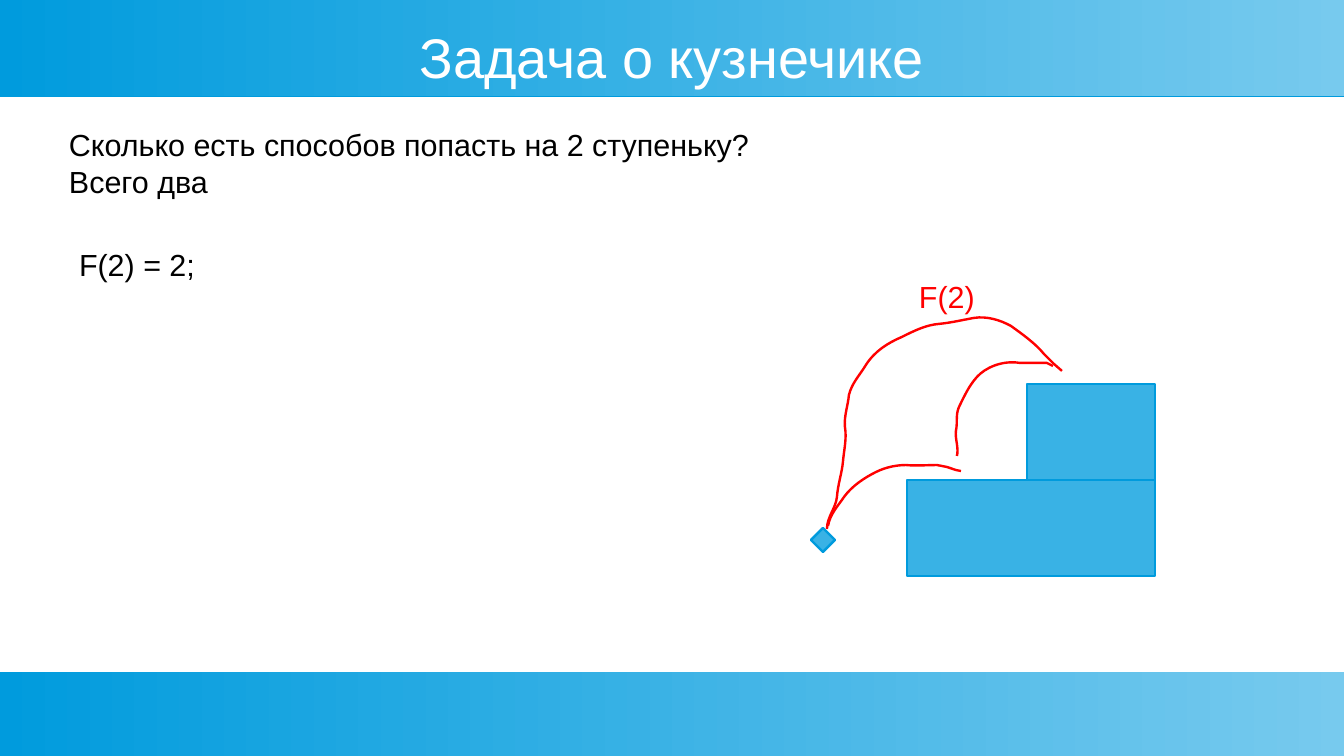
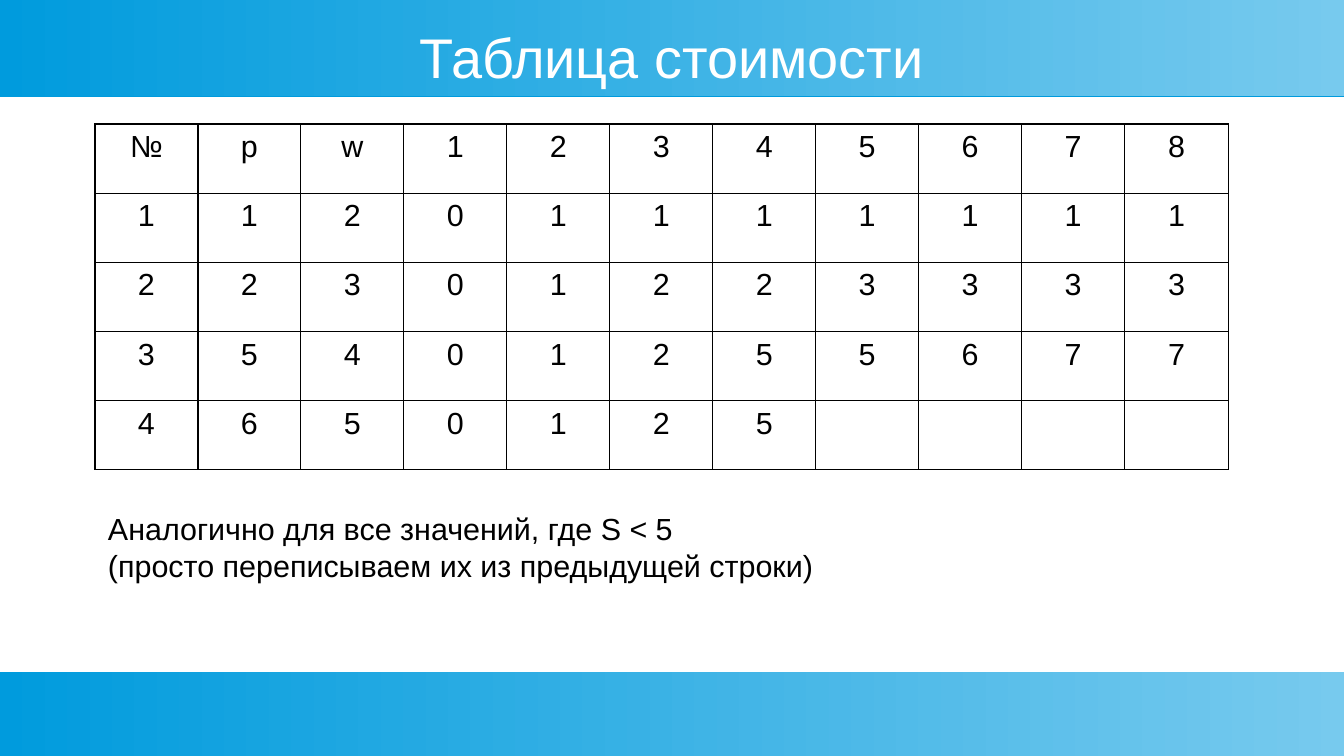
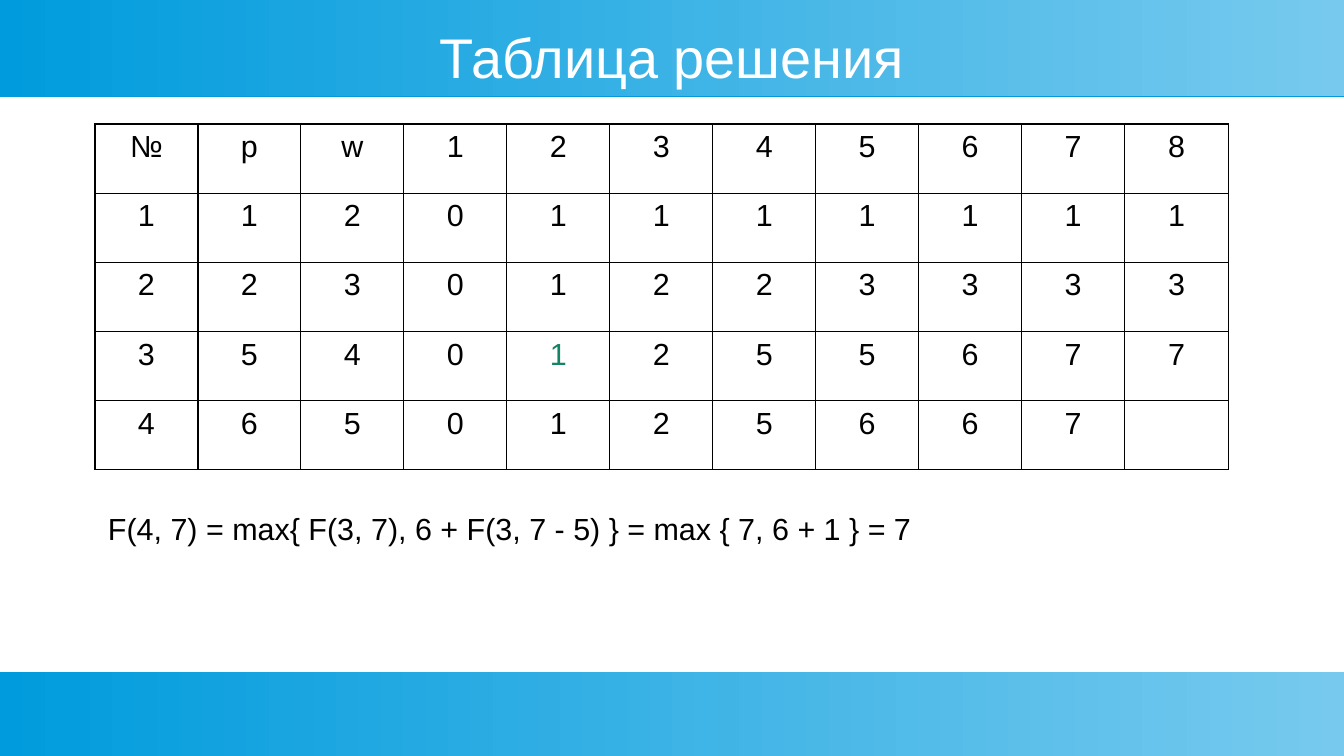
from dataclasses import dataclass

from lxml import etree
from pptx import Presentation, util as u
from pptx.dml.color import RGBColor
from pptx.enum import shapes as kinds, text as t
from pptx.oxml.ns import qn

EMU = 7500  # one px
WIDE, HIGH = 1344, 756


@dataclass(frozen=True)
class Theme:
    font: str = "Arial"
    head: int = 33
    body: int = 18
    line: float = 1.42
    rule: float = 0.75
    deep: str = "009BDD"
    mid: str = "39B2E5"
    pale: str = "77CAEE"
    ink: str = "000000"
    white: str = "FFFFFF"
    red: str = "FF0000"
    green: str = "158466"


THEME = Theme()

COSTS = ["№ p w 1 2 3 4 5 6 7 8",
         "1 1 2 0 1 1 1 1 1 1 1",
         "2 2 3 0 1 2 2 3 3 3 3",
         "3 5 4 0 1 2 5 5 6 7 7"]

# Each jump: start, Bezier bends (two handles and an end), then straight ends.
LEAP = ((16, 257),
        [(16, 245), (25, 236), (26, 225),
         (27, 212), (31, 201), (32, 190),
         (33, 178), (36, 167), (34, 155),
         (33, 144), (37, 134), (38, 123),
         (41, 111), (49, 103), (55, 93),
         (64, 79), (77, 71), (91, 65),
         (103, 59), (115, 53), (128, 52),
         (139, 51), (152, 48), (163, 46),
         (176, 44), (189, 48), (200, 54),
         (211, 62), (224, 71), (233, 82)],
        [(243, 92), (251, 99)])
FIRST = ((17, 254),
         [(19, 242), (27, 234), (33, 225),
          (41, 214), (53, 206), (65, 200),
          (75, 195), (86, 193), (95, 193),
          (105, 194), (116, 193), (126, 193)],
         [(136, 195), (145, 198), (150, 199)])
SECOND = ((146, 184),
          [(148, 176), (144, 167), (145, 159),
           (147, 150), (144, 142), (149, 133),
           (154, 123), (158, 114), (166, 105),
           (174, 96), (191, 88), (209, 91)],
          [(222, 91), (236, 91), (242, 94)])


def px(*nums):
    return [u.Emu(n * EMU) for n in nums]


def rgb(color):
    return RGBColor.from_string(color)


def write(frame, words, size=THEME.body, color=THEME.ink, align=t.PP_ALIGN.LEFT):
    """Put each line of words in its own paragraph."""
    for i, line in enumerate(words.split("\n")):
        para = frame.add_paragraph() if i else frame.paragraphs[0]
        para.alignment = align
        run = para.add_run()
        run.text = line
        font = run.font
        font.name, font.size = THEME.font, u.Pt(size)
        font.color.rgb = rgb(color)


def label(slide, box, words, inset=(12, 6), anchor=t.MSO_ANCHOR.TOP, **style):
    frame = slide.shapes.add_textbox(*px(*box)).text_frame
    frame.word_wrap = True
    frame.vertical_anchor = anchor
    frame.margin_left = frame.margin_right = px(inset[0])[0]
    frame.margin_top = frame.margin_bottom = px(inset[1])[0]
    write(frame, words, **style)


def band(slide, box):
    shape = slide.shapes.add_shape(kinds.MSO_SHAPE.RECTANGLE, *px(*box))
    shape.line.fill.background()
    shape.fill.gradient()
    shape.fill.gradient_angle = 180
    for stop, color in zip(shape.fill.gradient_stops, (THEME.pale, THEME.deep)):
        stop.color.rgb = rgb(color)
    shape.shadow.inherit = False
    effects = shape.element.spPr.find(qn("a:effectLst"))
    shade = etree.SubElement(effects, qn("a:outerShdw"), blurRad="0",
                             dist=str(u.Pt(0.9)), dir="5400000", rotWithShape="0")
    etree.SubElement(shade, qn("a:srgbClr"), val=THEME.deep)


def page(deck, title):
    """Add a slide with both bands and its title."""
    slide = deck.slides.add_slide(deck.slide_layouts[6])
    band(slide, (0, 0, WIDE, 96))
    band(slide, (0, 672, WIDE, 84))
    label(slide, (48, 24, 1248, 64), title, inset=(0, 0), anchor=t.MSO_ANCHOR.MIDDLE,
          size=THEME.head, color=THEME.white, align=t.PP_ALIGN.CENTER)
    return slide


def block(slide, kind, box):
    shape = slide.shapes.add_shape(kind, *px(*box))
    shape.shadow.inherit = False
    shape.fill.solid()
    shape.fill.fore_color.rgb = rgb(THEME.mid)
    shape.line.color.rgb = rgb(THEME.deep)
    shape.line.width = u.Pt(THEME.line)


def bend(shape, count):
    """Turn the first count line segments, three by three, into curves."""
    lines = list(shape.element.iter(qn("a:lnTo")))[:count]
    for i in range(0, count, 3):
        curve = etree.Element(qn("a:cubicBezTo"))
        lines[i].addprevious(curve)
        for line in lines[i:i + 3]:
            curve.append(line[0])
            line.getparent().remove(line)


def jump(slide, left, top, start, bends, ends):
    first, *rest = [px(left + x, top + y) for x, y in (start, *bends, *ends)]
    outline = slide.shapes.build_freeform(*first)
    outline.add_line_segments(rest, close=False)
    shape = outline.convert_to_shape()
    bend(shape, len(bends))
    shape.shadow.inherit = False
    shape.fill.background()
    shape.line.color.rgb = rgb(THEME.red)
    shape.line.width = u.Pt(THEME.line)


def stairs(slide, left, top):
    """Two steps, the hopper and its three jumps."""
    right, rise = 344, 96
    for i, width in enumerate((128, 248)):
        block(slide, kinds.MSO_SHAPE.RECTANGLE,
              (left + right - width, top + 112 + i * rise, width, rise))
    block(slide, kinds.MSO_SHAPE.DIAMOND, (left, top + 256, 24, 24))
    for curve in (LEAP, FIRST, SECOND):
        jump(slide, left, top, *curve)
    label(slide, (left + 96, top, 81, 46), "F(2)", color=THEME.red)


def edge(cell):
    props = cell._tc.get_or_add_tcPr()
    for side in ("lnL", "lnR", "lnT", "lnB"):
        line = etree.SubElement(props, qn("a:" + side), w=str(u.Pt(THEME.rule)))
        fill = etree.SubElement(line, qn("a:solidFill"))
        etree.SubElement(fill, qn("a:srgbClr"), val=THEME.ink)


def grid(slide, box, rows, marks):
    """Table of values; marks gives the colour of single cells."""
    cells = [row.split() for row in rows]
    count = len(cells[0])
    table = slide.shapes.add_table(len(cells), count, *px(*box)).table
    table.first_row = table.horz_banding = False
    width, spare = divmod(box[2], count)
    for col in table.columns:
        col.width = px(width)[0]
    table.columns[count - 1].width = px(width + spare)[0]
    for r, row in enumerate(table.rows):
        row.height = u.Emu(px(box[3])[0] // len(cells))
        for c, cell in enumerate(row.cells):
            edge(cell)
            cell.fill.background()
            cell.margin_left = cell.margin_right = px(5)[0]
            cell.margin_top = cell.margin_bottom = px(6)[0]
            if c < len(cells[r]):
                write(cell.text_frame, cells[r][c], align=t.PP_ALIGN.CENTER,
                      color=marks.get((r, c), THEME.ink))


def hopper(deck):
    slide = page(deck, "Задача о кузнечике")
    label(slide, (57, 120, 1190, 115),
          "Сколько есть способов попасть на 2 ступеньку?\nВсего два")
    label(slide, (67, 240, 503, 183), "F(2) = 2;")
    stairs(slide, 811, 272)


def values(deck, title, last, note, marks):
    """Slide with the cost table, its last row and a note below."""
    slide = page(deck, title)
    grid(slide, (95, 124, 1134, 346), [*COSTS, last], marks)
    lines = len(note.split("\n"))
    label(slide, (96, 504, 1128, 11 + 35 * lines), note)


def main():
    deck = Presentation()
    deck.slide_width, deck.slide_height = px(WIDE, HIGH)
    hopper(deck)
    values(deck, "Таблица стоимости", "4 6 5 0 1 2 5",
           "Аналогично для все значений, где S < 5\n"
           "(просто переписываем их из предыдущей строки)", {})
    values(deck, "Таблица решения", "4 6 5 0 1 2 5 6 6 7",
           "F(4, 7) = max{ F(3, 7), 6 + F(3, 7 - 5) } = max { 7, 6 + 1 } = 7",
           {(3, 4): THEME.green})
    deck.save("out.pptx")


if __name__ == "__main__":
    main()
